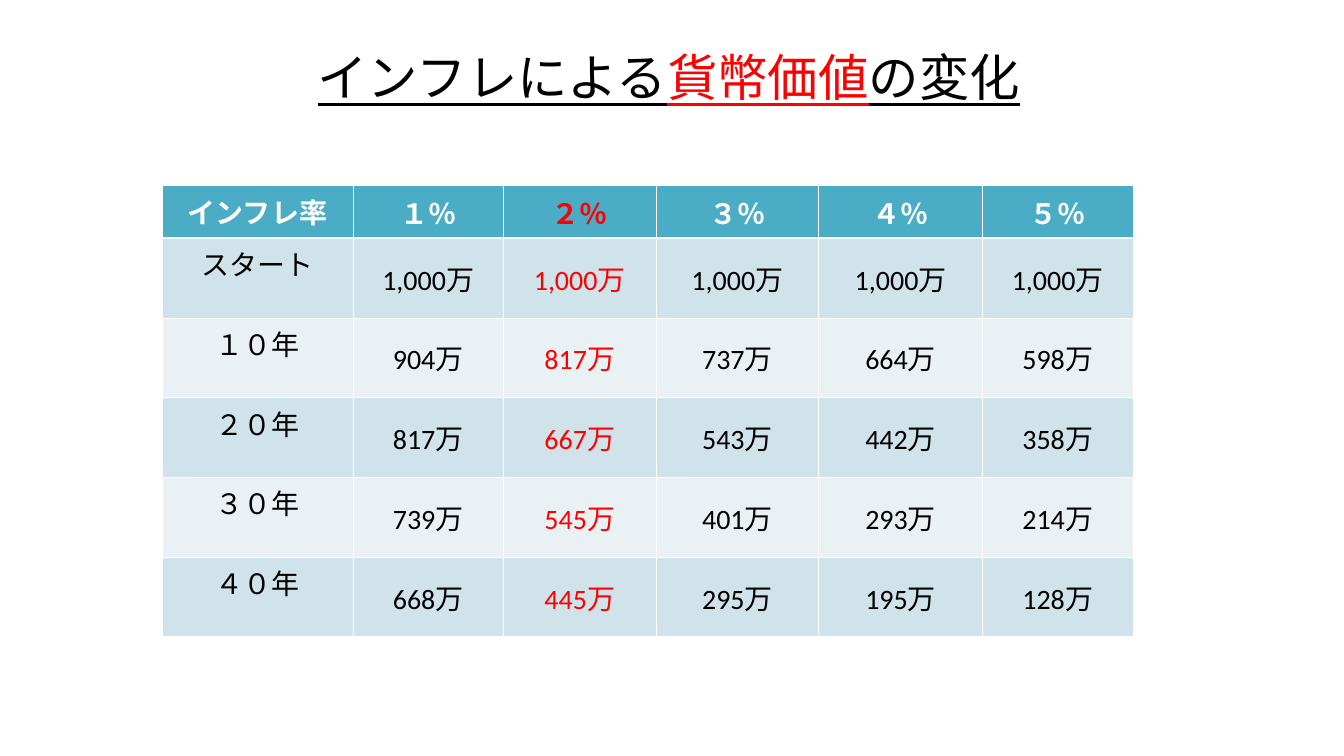
import pptx
import pptx.dml.color
import pptx.enum.text
import pptx.util
from lxml import etree
from pptx.util import Cm

FONT = "Calibri"
BLACK, WHITE, RED = "000000", "FFFFFF", "FF0000"
HEADER_FILL, BAND_FILLS = "4BACC6", ("D0E3EA", "E9F1F5")
HIGHLIGHT_COL = 2
LEFT, CENTER = pptx.enum.text.PP_ALIGN.LEFT, pptx.enum.text.PP_ALIGN.CENTER
TOP, MIDDLE = pptx.enum.text.MSO_ANCHOR.TOP, pptx.enum.text.MSO_ANCHOR.MIDDLE


def add_run(p, text, size, color, bold=False, underline=False):
    r = p.add_run()
    r.text = text
    r.font.name = FONT
    r.font.size = pptx.util.Pt(size)
    r.font.bold = bold
    r.font.underline = underline
    r.font.color.rgb = pptx.dml.color.RGBColor.from_string(color)


def add_border(cell, side, width):
    """Draw a white line on one side (L, R, T or B); call before filling the cell."""
    ns = "{http://schemas.openxmlformats.org/drawingml/2006/main}"
    ln = etree.SubElement(cell._tc.get_or_add_tcPr(), f"{ns}ln{side}",
                          w=str(pptx.util.Pt(width)))
    fill = etree.SubElement(ln, f"{ns}solidFill")
    etree.SubElement(fill, f"{ns}srgbClr", val=WHITE)


prs = pptx.Presentation()
prs.slide_width, prs.slide_height = Cm(33.88), Cm(19.05)
s = prs.slides.add_slide(prs.slide_layouts[5])

# Title
title = s.shapes.title
title.left, title.top, title.width, title.height = Cm(7.75), Cm(1.04), Cm(18.77), Cm(1.78)
tf = title.text_frame
tf.word_wrap = True
tf.auto_size = pptx.enum.text.MSO_AUTO_SIZE.NONE
tf.vertical_anchor = TOP
p = tf.paragraphs[0]
p.alignment = LEFT
for text, color in (("インフレによる", BLACK), ("貨幣価値", RED), ("の変化", BLACK)):
    add_run(p, text, 36, color, underline=True)

# Table of money value by inflation rate and elapsed years
rows = [
    ("インフレ率", "１％", "２％", "３％", "４％", "５％"),
    ("スタート",) + ("1,000万",) * 5,
    ("１０年", "904万", "817万", "737万", "664万", "598万"),
    ("２０年", "817万", "667万", "543万", "442万", "358万"),
    ("３０年", "739万", "545万", "401万", "293万", "214万"),
    ("４０年", "668万", "445万", "295万", "195万", "128万"),
]
col_widths = (4.82, 3.79, 3.85, 4.1, 4.13, 3.79)
row_heights = [1.32] + [2.01] * 5
table = s.shapes.add_table(len(rows), len(col_widths), Cm(4.08), Cm(4.68),
                           Cm(sum(col_widths)), Cm(sum(row_heights))).table
for column, width in zip(table.columns, col_widths):
    column.width = Cm(width)

for i, row in enumerate(rows):
    table.rows[i].height = Cm(row_heights[i])
    header = i == 0
    for j, text in enumerate(row):
        cell = table.cell(i, j)
        for side in "LRTB":
            under_header = (i, side) in ((0, "B"), (1, "T"))
            add_border(cell, side, 1.5 if under_header else 0.45)
        cell.fill.solid()
        cell.fill.fore_color.rgb = pptx.dml.color.RGBColor.from_string(
            HEADER_FILL if header else BAND_FILLS[(i - 1) % 2])
        cell.vertical_anchor = TOP if j == 0 else MIDDLE
        p = cell.text_frame.paragraphs[0]
        p.alignment = CENTER
        color = RED if j == HIGHLIGHT_COL else WHITE if header else BLACK
        add_run(p, text, 20, color, bold=header)

prs.save("out.pptx")
